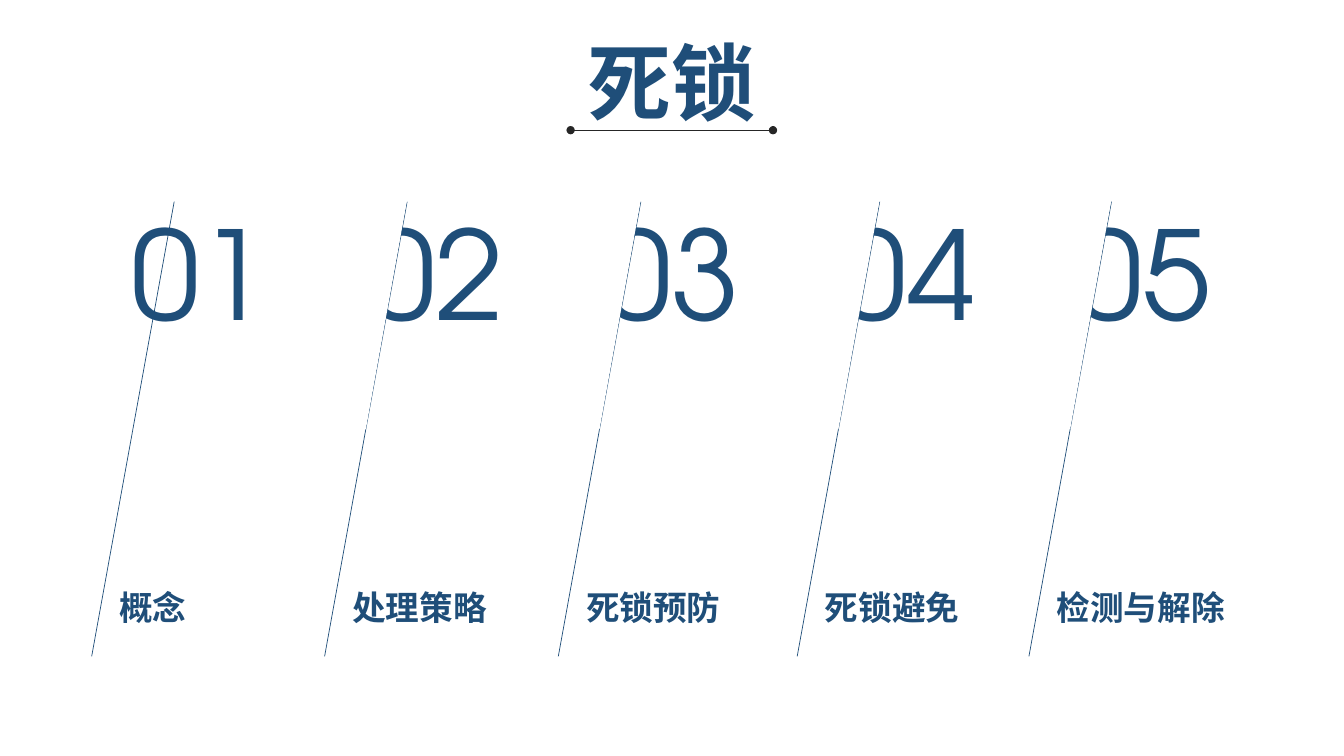
from dataclasses import dataclass

from lxml import etree
from pptx import Presentation
from pptx.dml.color import RGBColor
from pptx.enum import shapes, text
from pptx.oxml import ns
from pptx.util import Cm, Pt


@dataclass(frozen=True)
class Theme:
    font: str = "TeX Gyre Adventor"
    blue: RGBColor = RGBColor(0x1F, 0x4E, 0x79)
    dark: RGBColor = RGBColor(0x26, 0x26, 0x26)
    white: RGBColor = RGBColor(0xFF, 0xFF, 0xFF)
    title_size: Pt = Pt(60)
    number_size: Pt = Pt(88)
    label_size: Pt = Pt(24)
    line_width: Pt = Pt(0.5)


THEME = Theme()
SLIDE_WIDTH = 33.87
NUMBER_LEFT, NUMBER_STEP = 3.07, 5.94

# Section label and the x of its slanted line's lower end, in cm
SECTIONS = [
    ("概念", 2.31),
    ("处理策略", 8.18),
    ("死锁预防", 14.07),
    ("死锁避免", 20.09),
    ("检测与解除", 25.93),
]


def add_run(p, words, size, bold=False):
    r = p.add_run()
    r.text = words
    r.font.name = THEME.font
    r.font.size = size
    r.font.bold = bold
    r.font.color.rgb = THEME.blue


def add_text(slide, words, left, top, width, height, size, bold=False):
    sp = slide.shapes.add_textbox(Cm(left), Cm(top), Cm(width), Cm(height))
    tf = sp.text_frame
    tf.word_wrap = False
    tf.auto_size = text.MSO_AUTO_SIZE.SHAPE_TO_FIT_TEXT
    add_run(tf.paragraphs[0], words, size, bold)


def add_line(parent, x1, y1, x2, y2, color, ends=None):
    """Draw a thin line; ends names the marker put at both ends."""
    line = parent.shapes.add_connector(
        shapes.MSO_CONNECTOR.STRAIGHT, Cm(x1), Cm(y1), Cm(x2), Cm(y2))
    line.line.color.rgb = color
    line.line.width = THEME.line_width
    if ends:
        ln = line.line._get_or_add_ln()
        for tag in ("a:headEnd", "a:tailEnd"):
            etree.SubElement(ln, ns.qn(tag), type=ends)
    etree.SubElement(line._element.spPr, ns.qn("a:effectLst"))


def add_divider(slide, foot, masked):
    """Draw a slanted line; a white block beside it can cut the number."""
    group = slide.shapes.add_group_shape()
    add_line(group, foot + 2.08, 5.08, foot, 16.54, THEME.blue)
    if masked:
        sp = group.shapes.add_shape(shapes.MSO_SHAPE.RECTANGLE,
                                    Cm(foot - 0.3), Cm(3.33), Cm(2.01), Cm(7.37))
        sp.rotation = 10.2
        sp.shadow.inherit = False
        sp.fill.solid()
        sp.fill.fore_color.rgb = THEME.white
        sp.line.fill.background()


def set_title(slide, words):
    sp = slide.shapes.title
    sp.left, sp.top, sp.width, sp.height = Cm(0), Cm(0.64), Cm(SLIDE_WIDTH), Cm(2.82)
    tf = sp.text_frame
    tf.word_wrap = True
    tf.auto_size = text.MSO_AUTO_SIZE.SHAPE_TO_FIT_TEXT
    tf.vertical_anchor = text.MSO_ANCHOR.TOP
    p = tf.paragraphs[0]
    p.alignment = text.PP_ALIGN.CENTER
    add_run(p, words, THEME.title_size, bold=True)


def main():
    prs = Presentation()
    prs.slide_width, prs.slide_height = Cm(SLIDE_WIDTH), Cm(19.05)
    slide = prs.slides.add_slide(prs.slide_layouts[5])
    set_title(slide, "死锁")

    for i in range(len(SECTIONS)):
        add_text(slide, f"{i + 1:02}", NUMBER_LEFT + i * NUMBER_STEP, 4.85,
                 3.99, 4.01, THEME.number_size)
    for i, (label, foot) in enumerate(SECTIONS):
        add_divider(slide, foot, masked=i > 0)
    for label, foot in SECTIONS:
        add_text(slide, label, foot + 0.45, 14.66, 0.54 + 0.85 * len(label), 1.27,
                 THEME.label_size, bold=True)

    add_line(slide, 14.38, 3.28, 19.48, 3.28, THEME.dark, ends="oval")
    prs.save("out.pptx")


if __name__ == "__main__":
    main()
